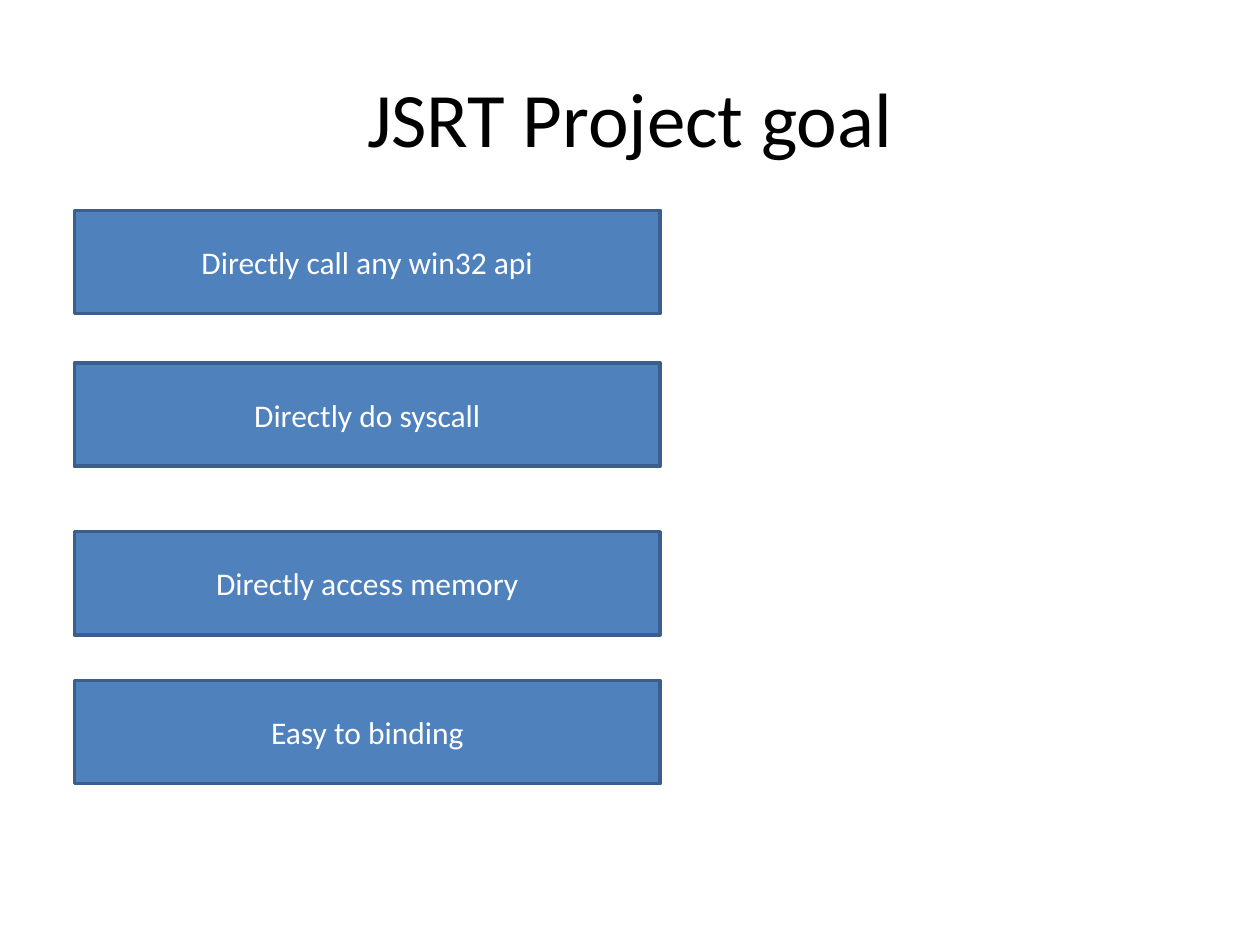
from pptx import Presentation
from pptx.dml.color import RGBColor
from pptx.enum.shapes import MSO_SHAPE as Shape
from pptx.enum.text import MSO_ANCHOR as Anchor, PP_ALIGN as Align
from pptx.util import Cm, Pt

GOALS = [
    (4.24, "Directly call any win32 api"),
    (7.32, "Directly do syscall"),
    (10.72, "Directly access memory"),
    (13.72, "Easy to binding"),
]


def tint(fmt, code):
    """Set a fill, line or font colour from a hex string."""
    fmt.rgb = RGBColor.from_string(code)


class Deck:
    """Holds the style and the current slide."""

    font = "Calibri"
    fill, edge = "4F81BD", "3A5F8C"
    dark, light = "000000", "FFFFFF"
    frame = {"word_wrap": True, "vertical_anchor": Anchor.MIDDLE}

    def __init__(self):
        self.prs = Presentation()
        self.prs.slide_width, self.prs.slide_height = Cm(25.4), Cm(19.05)
        self.slide = self.prs.slides.add_slide(self.prs.slide_layouts[6])

    def label(self, shape, text, size, code):
        body = shape.text_frame
        for key, val in self.frame.items():
            setattr(body, key, val)
        para = body.paragraphs[0]
        para.alignment = Align.CENTER
        run = para.add_run()
        run.text = text
        for key, val in {"name": self.font, "size": Pt(size)}.items():
            setattr(run.font, key, val)
        tint(run.font.color, code)

    def title(self, text):
        box = self.slide.shapes.add_textbox(
            Cm(1.27), Cm(0.76), Cm(22.86), Cm(3.18))
        self.label(box, text, 44, self.dark)

    def bar(self, top, text):
        box = self.slide.shapes.add_shape(
            Shape.RECTANGLE, Cm(1.5), Cm(top), Cm(11.81), Cm(2.08))
        box.shadow.inherit = False
        box.fill.solid()
        tint(box.fill.fore_color, self.fill)
        tint(box.line.color, self.edge)
        box.line.width = Pt(2)
        self.label(box, text, 18, self.light)


def main():
    deck = Deck()
    deck.title("JSRT Project goal")
    for top, text in GOALS:
        deck.bar(top, text)
    deck.prs.save("out.pptx")


if __name__ == "__main__":
    main()
